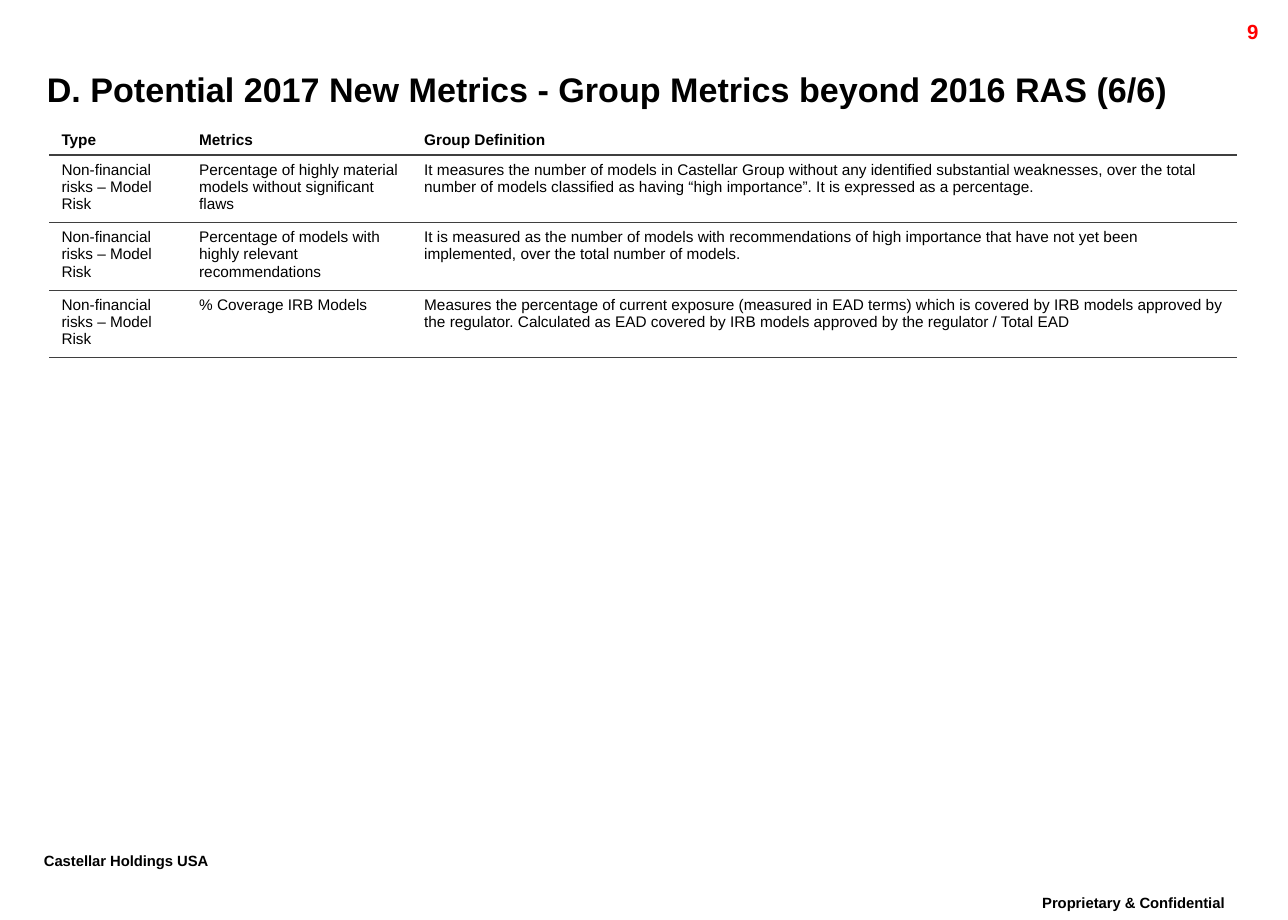
import pptx
import pptx.dml.color
import pptx.enum.text
import pptx.oxml
import pptx.oxml.ns
import pptx.util
from pptx.util import Cm

BLACK, RED, GREY = "000000", "FF0000", "3F3F3F"
ALIGN = pptx.enum.text.PP_ALIGN

COLUMN_WIDTHS = [2.85, 4.66, 17.08]
HEADER_HEIGHT, ROW_HEIGHT = 0.62, 1.4
METRICS = [
    ("Type", "Metrics", "Group Definition"),
    ("Non-financial risks – Model Risk",
     "Percentage of highly material models without significant flaws",
     "It measures the number of models in Castellar Group without any identified "
     "substantial weaknesses, over the total number of models classified as having "
     "“high importance”. It is expressed as a percentage."),
    ("Non-financial risks – Model Risk",
     "Percentage of models with highly relevant recommendations",
     "It is measured as the number of models with recommendations of high importance "
     "that have not yet been implemented, over the total number of models."),
    ("Non-financial risks – Model Risk",
     "% Coverage IRB Models",
     "Measures the percentage of current exposure (measured in EAD terms) which is "
     "covered by IRB models approved by the regulator. Calculated as EAD covered by "
     "IRB models approved by the regulator / Total EAD"),
]


def color(hex_value):
    return pptx.dml.color.RGBColor.from_string(hex_value)


def write(frame, text, size, bold=True, fill=BLACK, align=ALIGN.LEFT):
    """Set the frame's single paragraph and return it."""
    frame.text = text
    para = frame.paragraphs[0]
    para.alignment = align
    font = para.runs[0].font
    font.name, font.size, font.bold = "Arial", pptx.util.Pt(size), bold
    font.color.rgb = color(fill)
    return para


def add_title(page, left, top, width, height, text):
    title = page.shapes.title
    title.left, title.top = Cm(left), Cm(top)
    title.width, title.height = Cm(width), Cm(height)
    frame = title.text_frame
    frame.margin_left = frame.margin_right = frame.margin_top = frame.margin_bottom = 0
    frame.vertical_anchor = pptx.enum.text.MSO_ANCHOR.MIDDLE
    frame.auto_size = pptx.enum.text.MSO_AUTO_SIZE.NONE
    write(frame, text, 20)


def add_label(page, left, top, width, height, text, size, **style):
    box = page.shapes.add_textbox(Cm(left), Cm(top), Cm(width), Cm(height))
    box.text_frame.word_wrap = True
    return write(box.text_frame, text, size, **style)


def add_footer(page, left, top, width, height, text, align):
    """Add a raised footer line, set as superscript."""
    para = add_label(page, left, top, width, height, text, 15, align=align)
    para.line_spacing = 0.86
    para.runs[0].font._element.set("baseline", "30000")


def set_border(cell, side, line_color=None):
    if line_color:
        fill = f'<a:solidFill><a:srgbClr val="{line_color}"/></a:solidFill>'
    else:
        fill = "<a:noFill/>"
    line = pptx.oxml.parse_xml(
        f'<a:ln{side} {pptx.oxml.ns.nsdecls("a")} w="{pptx.util.Pt(0.75)}">{fill}</a:ln{side}>')
    cell._tc.get_or_add_tcPr().append(line)


def add_metrics_table(page, left, top):
    heights = [HEADER_HEIGHT] + [ROW_HEIGHT] * (len(METRICS) - 1)
    table = page.shapes.add_table(
        len(METRICS), len(COLUMN_WIDTHS), Cm(left), Cm(top),
        Cm(sum(COLUMN_WIDTHS)), Cm(sum(heights))).table
    table.first_row = table.horz_banding = False
    for column, width in zip(table.columns, COLUMN_WIDTHS):
        column.width = Cm(width)
    for index, (row, height, texts) in enumerate(zip(table.rows, heights, METRICS)):
        row.height = Cm(height)
        for cell, text in zip(row.cells, texts):
            write(cell.text_frame, text, 9, bold=index == 0)
            set_border(cell, "L")
            set_border(cell, "R")
            set_border(cell, "T", GREY if index else None)
            set_border(cell, "B", GREY)
            cell.fill.background()


def main():
    deck = pptx.Presentation()
    deck.slide_width, deck.slide_height = Cm(26.67), Cm(19.05)
    page = deck.slides.add_slide(deck.slide_layouts.get_by_name("Title Only"))
    add_title(page, 0.97, 1.24, 24.08, 1.22,
              "D. Potential 2017 New Metrics - Group Metrics beyond 2016 RAS (6/6)")
    add_metrics_table(page, 1.02, 2.59)
    add_label(page, 23.77, 0.28, 2.54, 0.61, "9", 12, fill=RED, align=ALIGN.RIGHT)
    add_footer(page, 0.66, 17.55, 4.85, 0.81, "Castellar Holdings USA", ALIGN.LEFT)
    add_footer(page, 20.7, 18.42, 5.54, 0.84, "Proprietary & Confidential", ALIGN.CENTER)
    deck.save("out.pptx")


if __name__ == "__main__":
    main()
